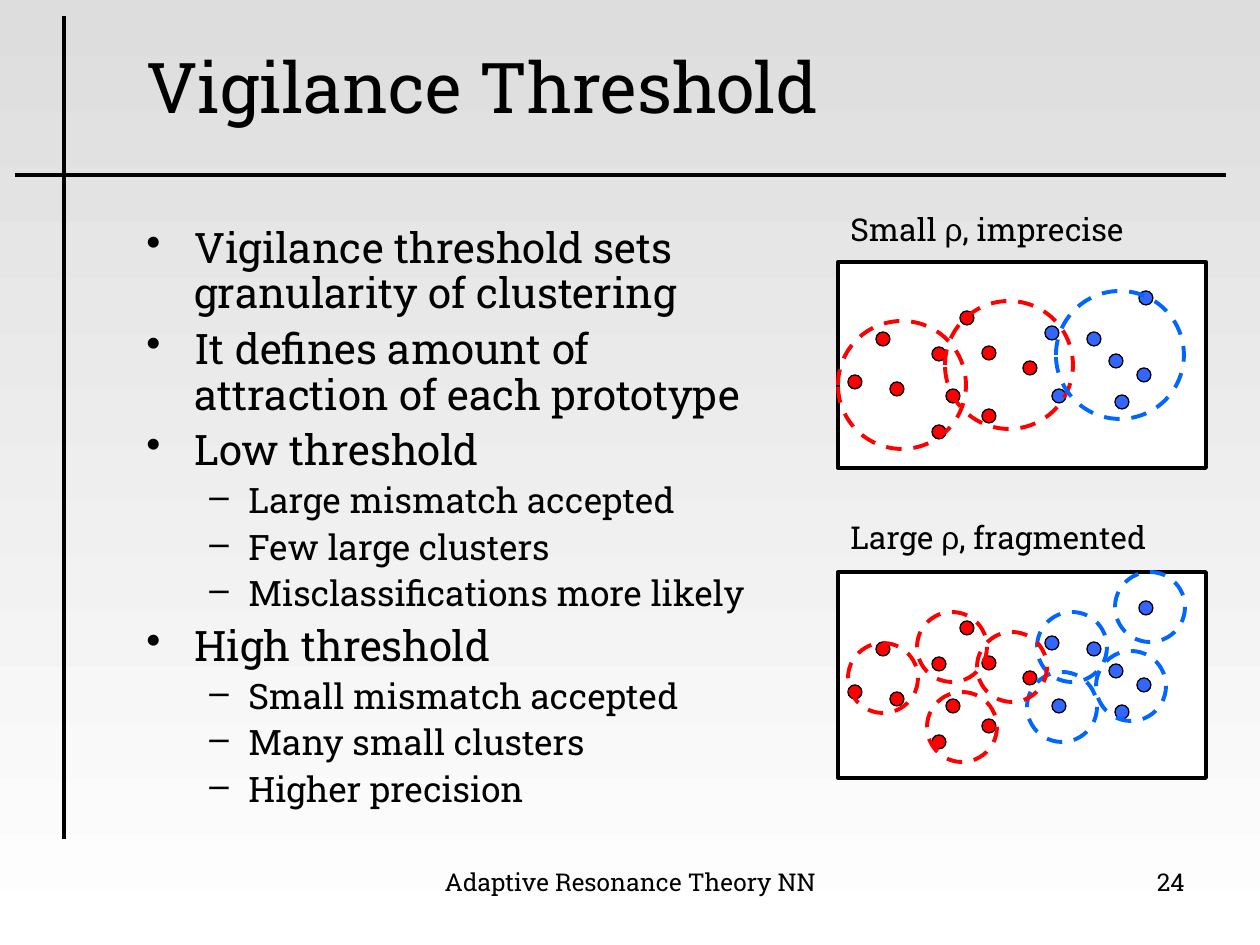
from lxml.etree import SubElement
from pptx import Presentation
from pptx.dml.color import RGBColor
from pptx.enum.dml import MSO_LINE
from pptx.enum.shapes import MSO_CONNECTOR, MSO_SHAPE
from pptx.enum.text import MSO_ANCHOR, PP_ALIGN
from pptx.oxml.ns import qn
from pptx.util import Emu, Pt

PX = 914400 // 126
FONT, GREEK_FONT = "Roboto Slab", "Arial"
COLORS = {
    "ink": "000000",
    "panel": "FFFFFF",
    "red": "FF0000",
    "blue dot": "3366FF",
    "blue ring": "0066FF",
    "sky": "DDDDDD",
    "ground": "FFFFFF",
}
BULLETS = [
    (0, "Vigilance threshold sets granularity of clustering"),
    (0, "It defines amount of attraction of each prototype"),
    (0, "Low threshold"),
    (1, "Large mismatch accepted"),
    (1, "Few large clusters"),
    (1, "Misclassifications more likely"),
    (0, "High threshold"),
    (1, "Small mismatch accepted"),
    (1, "Many small clusters"),
    (1, "Higher precision"),
]
# Each level: bullet, size, space before, left margin and hanging indent in px
LEVELS = [("•", 24, 6, 48, 48), ("–", 20, 5, 102, 39)]

# Left and top of each mark, measured from the corner of its panel
DOT_SIZE = 14
DOTS = {
    "red": [(94, 163), (144, 147), (108, 127), (144, 84), (94, 85),
            (52, 120), (185, 99), (122, 49), (38, 70), (10, 113)],
    "blue dot": [(249, 70), (271, 92), (301, 29), (214, 127),
                 (277, 133), (299, 106), (207, 64)],
}
LARGE_CLUSTERS = {"red": [(107, 39), (0, 59)], "blue ring": [(218, 29)]}
SMALL_CLUSTERS = {
    "blue ring": [(277, 0), (258, 79), (199, 40), (189, 100)],
    "red": [(139, 60), (89, 120), (79, 40), (10, 71)],
}


def px(*lengths):
    return [Emu(length * PX) for length in lengths]


def rgb(name):
    return RGBColor.from_string(COLORS[name])


def paint_background(page):
    fill = page.background.fill
    fill.gradient()
    fill.gradient_angle = 270
    for stop, name in zip(fill.gradient_stops, ("sky", "ground")):
        stop.color.rgb = rgb(name)
        stop.position = 0 if name == "sky" else 1


def add_rule(page, *ends):
    rule = page.shapes.add_connector(MSO_CONNECTOR.STRAIGHT, *px(*ends))
    rule.line.color.rgb = rgb("ink")
    rule.line.width = Pt(2.25)
    SubElement(rule._element.spPr, qn("a:effectLst"))


def add_figure(page, kind, area, fill=None, line="ink", width=2.25, dashed=False):
    figure = page.shapes.add_shape(kind, *px(*area))
    figure.shadow.inherit = False
    if fill:
        figure.fill.solid()
        figure.fill.fore_color.rgb = rgb(fill)
    else:
        figure.fill.background()
    figure.line.color.rgb = rgb(line)
    figure.line.width = Pt(width)
    if dashed:
        figure.line.dash_style = MSO_LINE.DASH


def add_box(page, area, anchor=MSO_ANCHOR.TOP, wrap=True):
    frame = page.shapes.add_textbox(*px(*area)).text_frame
    frame.word_wrap = wrap
    frame.vertical_anchor = anchor
    return frame


def write(para, text, size, font=FONT, align=PP_ALIGN.LEFT):
    span = para.add_run()
    span.text = text
    span.font.size = Pt(size)
    span.font.name = font
    span.font.color.rgb = rgb("ink")
    para.alignment = align


def add_bullets(page, area):
    frame = add_box(page, area)
    for index, (level, text) in enumerate(BULLETS):
        para = frame.add_paragraph() if index else frame.paragraphs[0]
        mark, size, space, margin, hang = LEVELS[level]
        para.level = level
        properties = para._p.get_or_add_pPr()
        properties.set("marL", str(margin * PX))
        properties.set("indent", str(-hang * PX))
        SubElement(properties, qn("a:buChar"), char=mark)
        para.line_spacing = 0.9
        para.space_before = Pt(space if index else 0)
        write(para, text, size)


def add_marks(page, left, top, size, groups, dots=False):
    """Filled dots or dashed cluster rings, grouped by colour."""
    for color, places in groups.items():
        style = (dict(fill=color, width=0.75) if dots
                 else dict(line=color, dashed=True))
        for x, y in places:
            area = (left + x, top + y, size, size)
            add_figure(page, MSO_SHAPE.OVAL, area, **style)


def add_panel(page, top, clusters, ring_size, caption, caption_area):
    left = 838
    add_figure(page, MSO_SHAPE.RECTANGLE, (left, top, 368, 206), fill="panel")
    add_marks(page, left, top, DOT_SIZE, DOTS, dots=True)
    add_marks(page, left, top, ring_size, clusters)
    para = add_box(page, caption_area, wrap=False).paragraphs[0]
    before, after = caption.split("ρ")
    for text, font in ((before, FONT), ("ρ", GREEK_FONT), (after, FONT)):
        write(para, text, 18, font=font)


def main():
    deck = Presentation()
    deck.slide_width, deck.slide_height = px(1260, 945)
    page = deck.slides.add_slide(deck.slide_layouts[6])
    paint_background(page)
    add_rule(page, 15, 175, 1226, 175)
    add_rule(page, 64, 16, 64, 839)

    footer = add_box(page, (431, 861, 399, 66))
    write(footer.paragraphs[0], "Adaptive Resonance Theory NN", 14, align=PP_ALIGN.CENTER)
    number = add_box(page, (903, 861, 294, 66))
    write(number.paragraphs[0], "24", 14, align=PP_ALIGN.RIGHT)
    title = add_box(page, (134, 37, 1091, 97), anchor=MSO_ANCHOR.MIDDLE)
    write(title.paragraphs[0], "Vigilance Threshold", 40)
    add_bullets(page, (134, 221, 655, 624))

    add_panel(page, 262, LARGE_CLUSTERS, 128, "Small ρ, imprecise", (838, 204, 307, 50))
    add_panel(page, 572, SMALL_CLUSTERS, 70, "Large ρ, fragmented", (838, 512, 331, 50))
    deck.save("out.pptx")


if __name__ == "__main__":
    main()
